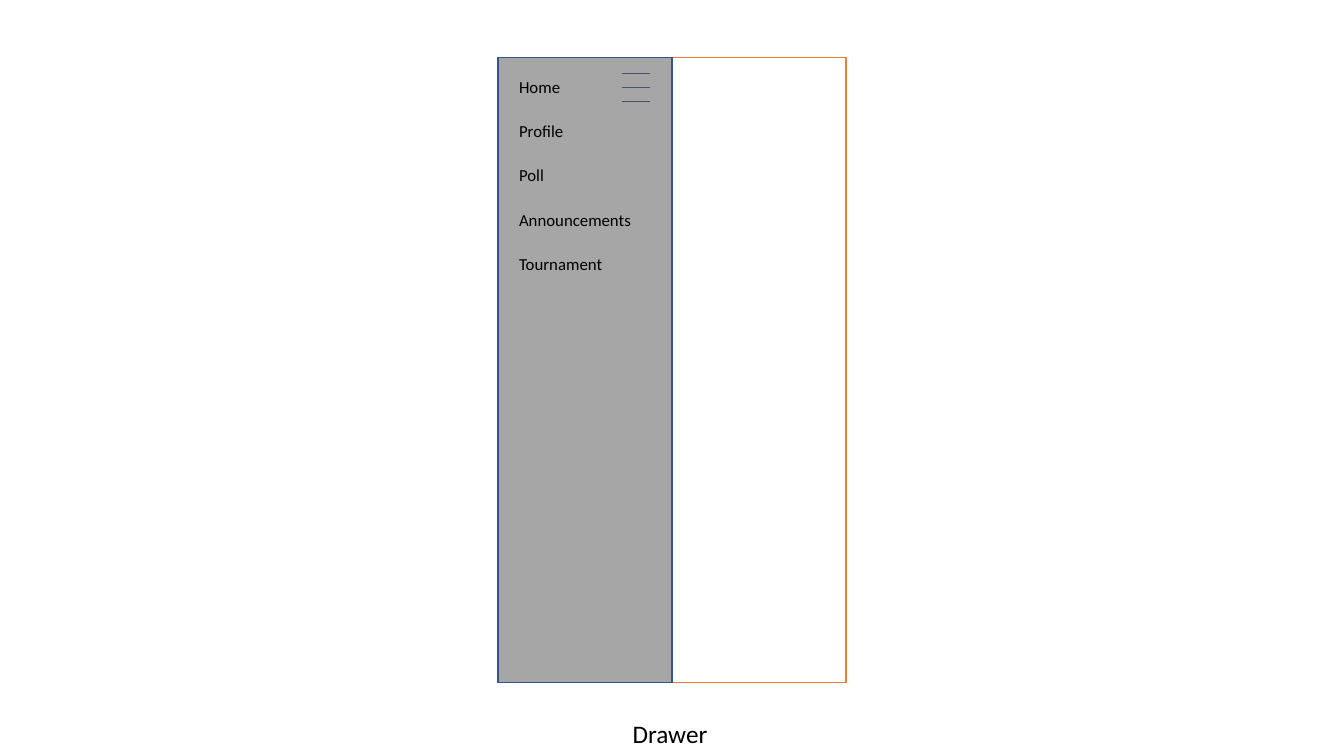
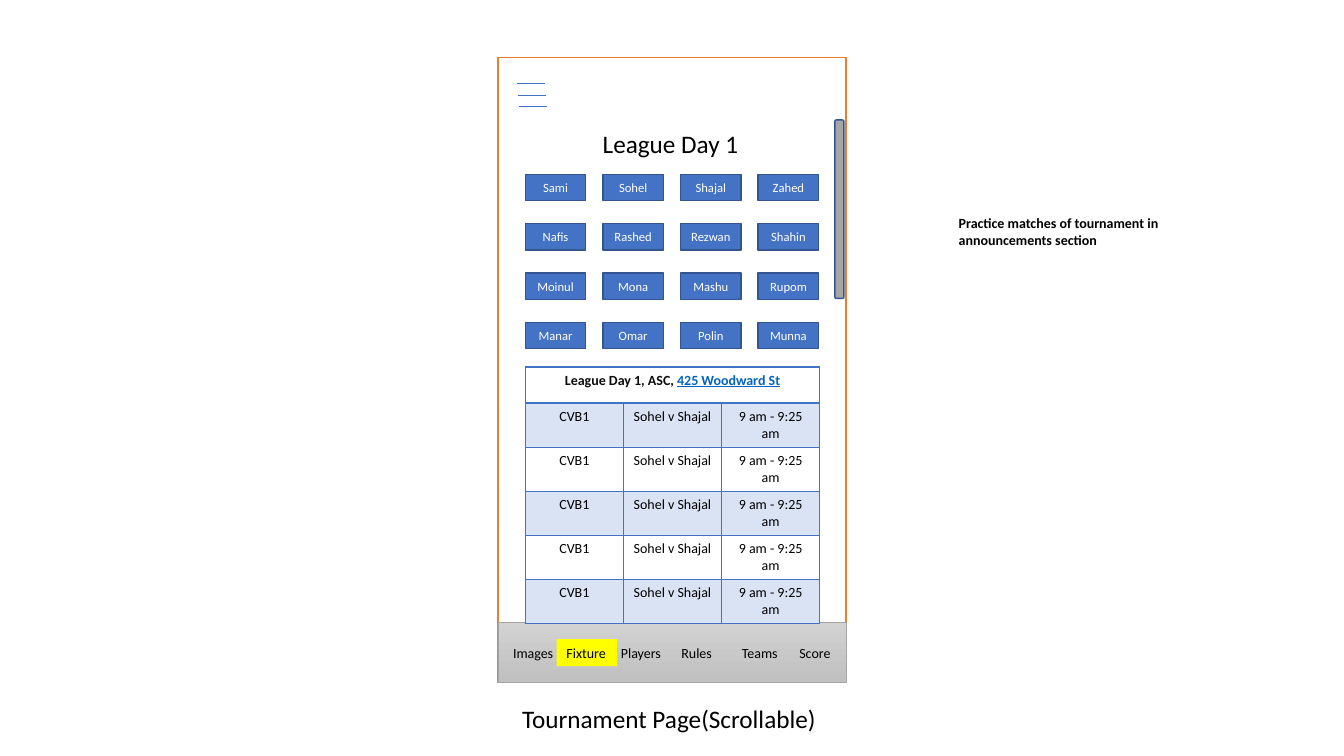
from lxml import etree
from pptx import Presentation
from pptx import util as u
from pptx.dml.color import RGBColor
from pptx.enum import shapes, text
from pptx.oxml import ns

COLORS = {
    "black": "000000", "white": "FFFFFF", "ink": "0D0D0D", "link": "0563C1",
    "orange": "ED7D31", "blue": "4472C4", "navy": "325491", "pale": "DAE3F3",
    "gray": "A6A6A6", "slate": "44546A", "yellow": "FFFF00",
    "bar_top": "D2D2D2", "bar_bottom": "C0C0C0", "bar_edge": "A5A5A5",
}
FONT = "Calibri"
CENTER, LEFT = text.PP_ALIGN.CENTER, text.PP_ALIGN.LEFT
RECT = shapes.MSO_SHAPE.RECTANGLE
SCREEN = (4.94, 0.57, 3.45, 6.2)


def rgb(name):
    return RGBColor.from_string(COLORS[name])


def inches(*lengths):
    return [u.Inches(length) for length in lengths]


def add_span(para, words, size=10, color="black", bold=False, underline=False):
    span = para.add_run()
    span.text = words
    font = span.font
    font.name, font.size, font.color.rgb = FONT, u.Pt(size), rgb(color)
    font.bold, font.underline = bold, underline


def write(frame, words, align=LEFT, anchor=text.MSO_ANCHOR.TOP, inset=0.1,
          right_inset=None, **font):
    """Fill a text frame with one formatted paragraph."""
    frame.word_wrap = True
    frame.auto_size = text.MSO_AUTO_SIZE.NONE
    frame.vertical_anchor = anchor
    frame.margin_left = u.Inches(inset)
    frame.margin_right = u.Inches(inset if right_inset is None else right_inset)
    frame.margin_top = frame.margin_bottom = u.Inches(0.05)
    para = frame.paragraphs[0]
    para.alignment = align
    add_span(para, words, **font)


def set_borders(cell, top=1, bottom=1):
    """Draw blue borders on a cell; widths are in points."""
    properties = cell._tc.get_or_add_tcPr()
    widths = {"lnL": 1, "lnR": 1, "lnT": top, "lnB": bottom}
    for index, (side, width) in enumerate(widths.items()):
        edge = etree.Element(ns.qn("a:" + side), w=str(u.Pt(width)))
        solid = etree.SubElement(edge, ns.qn("a:solidFill"))
        etree.SubElement(solid, ns.qn("a:srgbClr"), val=COLORS["blue"])
        properties.insert(index, edge)


class Wireframe:
    def __init__(self):
        self.deck = Presentation()
        self.deck.slide_width, self.deck.slide_height = inches(13.33, 7.5)
        self.slide = None

    def page(self, caption, left, top, width):
        """Start a slide with its caption and an empty phone screen."""
        self.slide = self.deck.slides.add_slide(self.deck.slide_layouts[5])
        title = self.slide.shapes.title
        title.left, title.top, title.width, title.height = inches(left, top, width, 0.4)
        write(title.text_frame, caption, align=CENTER, size=18)
        self.box(*SCREEN, fill="white", line="orange")

    def box(self, left, top, width, height, fill, line=None, weight=1, kind=RECT):
        box = self.slide.shapes.add_shape(kind, *inches(left, top, width, height))
        box.shadow.inherit = False
        if isinstance(fill, tuple):
            box.fill.gradient()
            box.fill.gradient_angle = 270
            for stop, name in zip(box.fill.gradient_stops, fill):
                stop.color.rgb = rgb(name)
        else:
            box.fill.solid()
            box.fill.fore_color.rgb = rgb(fill)
        if line:
            box.line.color.rgb = rgb(line)
            box.line.width = u.Pt(weight)
        else:
            box.line.fill.background()
        return box

    def label(self, words, left, top, width, height, **style):
        box = self.slide.shapes.add_textbox(*inches(left, top, width, height))
        write(box.text_frame, words, **style)

    def menu_icon(self, left, top, bottom, color, drift=0.0):
        """Three evenly spaced lines, each shifted right by the drift."""
        for index in range(3):
            x = left + index * drift
            y = top + index * (bottom - top) / 2
            line = self.slide.shapes.add_connector(
                shapes.MSO_CONNECTOR.STRAIGHT, *inches(x, y, x + 0.28, y))
            line.line.color.rgb = rgb(color)
            line.line.width = u.Pt(0.5)
            etree.SubElement(line._element.spPr, ns.qn("a:effectLst"))

    def fixture_table(self, left, top, heading, matches):
        row_count = len(matches) + 1
        table = self.slide.shapes.add_table(
            row_count, 3, *inches(left, top, 2.92, 2.52)).table
        table.first_row = table.horz_banding = False
        for column in table.columns:
            column.width = u.Inches(2.92 / 3)
        for index, row in enumerate(table.rows):
            row.height = u.Inches(0.43 if index else 0.36)
            for cell in row.cells:
                if index % 2:
                    cell.fill.solid()
                    cell.fill.fore_color.rgb = rgb("pale")
                else:
                    cell.fill.background()
                set_borders(cell, top=2 if index == 1 else 1,
                            bottom=1 if index else 2)
        # Heading across all columns
        table.cell(0, 0).merge(table.cell(0, 2))
        para = table.cell(0, 0).text_frame.paragraphs[0]
        para.alignment = CENTER
        for words, style in heading:
            add_span(para, words, bold=True, **style)
        # Matches
        for index, match in enumerate(matches, start=1):
            for column, words in enumerate(match):
                para = table.cell(index, column).text_frame.paragraphs[0]
                para.alignment = CENTER
                add_span(para, words)


def drawer_page(wire):
    wire.page("Drawer", 5.05, 7.08, 3.19)
    left, top, width, height = SCREEN
    wire.box(left, top, width / 2, height, fill="gray", line="navy")
    wire.menu_icon(6.17, 0.73, 1.01, "slate")
    entries = ["Home", "Profile", "Poll", "Announcements", "Tournament"]
    for index, entry in enumerate(entries):
        wire.label(entry, 5.05, 0.71 + index * 0.44, 1.4, 0.3, size=12)


def tournament_page(wire):
    wire.page("Tournament Page(Scrollable)", 4.43, 6.93, 4.41)
    wire.menu_icon(5.13, 0.83, 1.06, "blue", drift=0.01)

    # Bottom bar with tabs
    wire.box(4.94, 6.17, 3.45, 0.6, fill=("bar_top", "bar_bottom"),
             line="bar_edge", weight=0.5)
    wire.box(5.52, 6.34, 0.6, 0.27, fill="yellow")
    tabs = {"Images": 4.99, "Fixture": 5.52, "Players": 6.06,
            "Rules": 6.66, "Teams": 7.26, "Score": 7.83}
    for tab, left in tabs.items():
        wire.label(tab, left, 6.34, 0.6, 0.27, right_inset=0)

    # Scroll bar, side note and heading
    wire.box(8.28, 1.19, 0.09, 1.77, fill="gray", line="navy",
             kind=shapes.MSO_SHAPE.ROUNDED_RECTANGLE)
    wire.label("Practice matches of tournament in announcements section",
               9.41, 2.08, 2.99, 0.44, bold=True)
    wire.label("League Day 1", 5.39, 1.22, 2.52, 0.4, align=CENTER, size=18)

    # Player grid
    players = [
        ["Sami", "Sohel", "Shajal", "Zahed"],
        ["Nafis", "Rashed", "Rezwan", "Shahin"],
        ["Moinul", "Mona", "Mashu", "Rupom"],
        ["Manar", "Omar", "Polin", "Munna"],
    ]
    for row, names in enumerate(players):
        for column, name in enumerate(names):
            box = wire.box(5.21 + column * 0.77, 1.73 + row * 0.49, 0.6, 0.26,
                           fill="blue", line="navy")
            write(box.text_frame, name, align=CENTER, inset=0, size=9,
                  color="white", anchor=text.MSO_ANCHOR.MIDDLE)

    # Fixtures
    heading = [("League Day 1, ASC, ", {"color": "ink"}),
               ("425 Woodward St", {"color": "link", "underline": True})]
    wire.fixture_table(5.21, 3.64, heading,
                       [("CVB1", "Sohel v Shajal", "9 am - 9:25 am")] * 5)


def main():
    wire = Wireframe()
    drawer_page(wire)
    tournament_page(wire)
    wire.deck.save("out.pptx")


if __name__ == "__main__":
    main()
